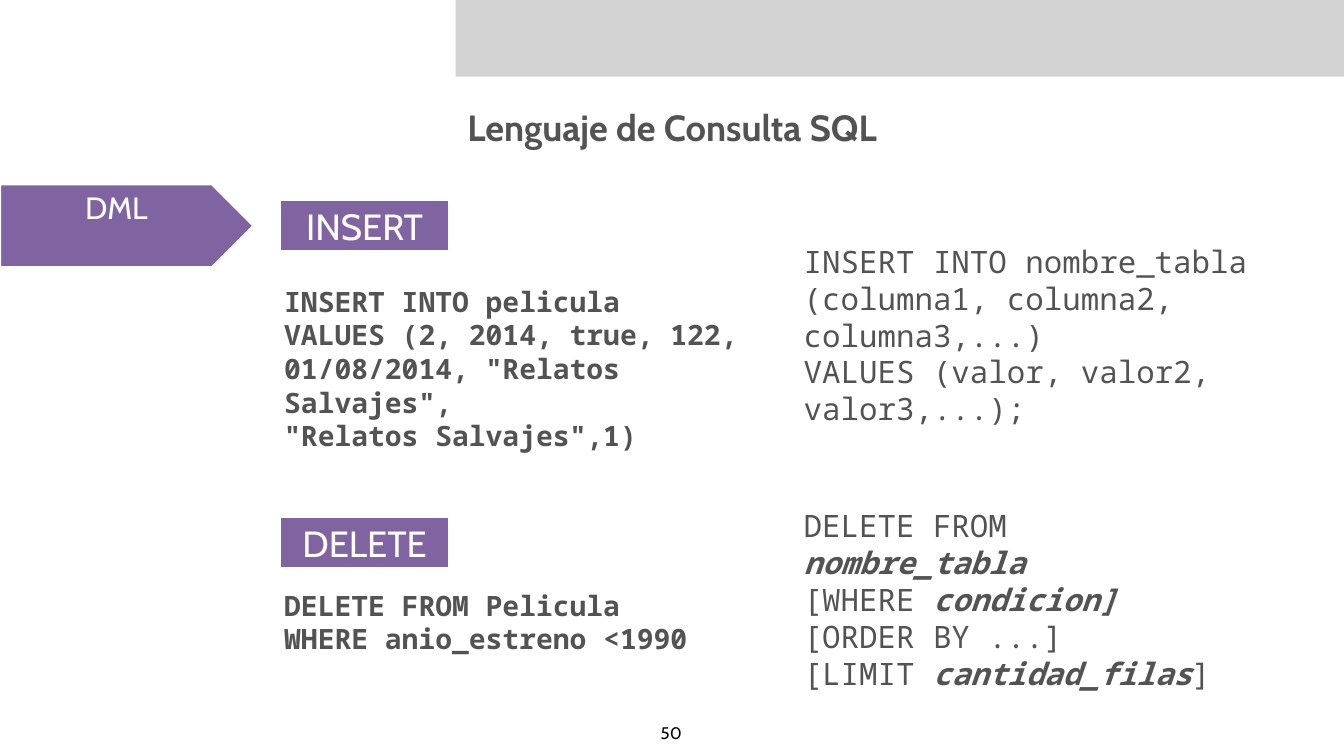
from pptx import Presentation
from pptx.dml.color import RGBColor
from pptx.enum.shapes import MSO_SHAPE as Shape
from pptx.enum.text import MSO_ANCHOR as Anchor, MSO_AUTO_SIZE as Fit, PP_ALIGN as Align
from pptx.oxml import parse_xml
from pptx.oxml.ns import nsdecls
from pptx.util import Inches, Pt

WHITE = RGBColor(0xFF, 0xFF, 0xFF)
BLACK = RGBColor(0, 0, 0)
GREY = RGBColor(0xD3, 0xD3, 0xD3)
INK = RGBColor(0x53, 0x53, 0x53)
PURPLE = RGBColor(0x80, 0x64, 0xA2)
SANS, MONO = "Cabin", "Noto Sans Mono"

WIDE, HIGH = 26.67, 15
LEFT, RIGHT = 5.56, 15.85  # the two code columns
PAD = 0.08


def box(left, top, width, height):
    return [Inches(n) for n in (left, top, width, height)]


def place(item, area):
    item.left, item.top, item.width, item.height = box(*area)


def frame(item, anchor=Anchor.TOP, side=PAD, top=PAD, bottom=PAD, wrap=True):
    tf = item.text_frame
    tf.auto_size = Fit.NONE
    tf.word_wrap = wrap
    tf.vertical_anchor = anchor
    tf.margin_left = tf.margin_right = Inches(side)
    tf.margin_top, tf.margin_bottom = Inches(top), Inches(bottom)
    return tf


def style(run, size, font, color, bold=False, italic=False):
    run.font.size, run.font.name = Pt(size), font
    run.font.color.rgb = color
    run.font.bold, run.font.italic = bold, italic


def label(tf, text, size, color, bold=False):
    """Write one centred line."""
    tf.text = text
    para = tf.paragraphs[0]
    para.alignment = Align.CENTER
    style(para.runs[0], size, SANS, color, bold)


def code(tf, lines, size, bold=False):
    """Write code lines; every second part of a line is bold italic."""
    for row, parts in enumerate(lines):
        para = tf.paragraphs[0] if row == 0 else tf.add_paragraph()
        props = para._p.get_or_add_pPr()
        props.set("marL", "0")
        props.set("indent", "0")
        props.append(parse_xml(f"<a:buNone {nsdecls('a')}/>"))
        para.alignment = Align.LEFT
        para.space_before = Pt(0)
        for col, part in enumerate(parts):
            run = para.add_run()
            run.text = part
            var = col % 2 == 1
            style(run, size, MONO, INK, bold or var, var)


def tag(slide, kind, area, text, size, bottom=PAD):
    item = slide.shapes.add_shape(kind, *box(*area))
    item.shadow.inherit = False
    item.fill.solid()
    item.fill.fore_color.rgb = PURPLE
    item.line.color.rgb = WHITE
    item.line.width = Pt(3)
    label(frame(item, Anchor.MIDDLE, bottom=bottom), text, size, WHITE)


def main():
    prs = Presentation()
    prs.slide_width, prs.slide_height = Inches(WIDE), Inches(HIGH)
    slide = prs.slides.add_slide(prs.slide_layouts[1])
    title, body = slide.placeholders
    shapes = slide.shapes

    # Header band and title
    band = shapes.add_shape(Shape.RECTANGLE, *box(9.04, -0.04, 17.68, 1.56))
    band.shadow.inherit = False
    band.fill.solid()
    band.fill.fore_color.rgb = GREY
    band.line.fill.background()
    place(title, (5.29, 2.01, 16.09, 1.03))
    label(frame(title, Anchor.MIDDLE), "Lenguaje de Consulta SQL", 52, INK, True)

    # Section arrow and statement tags
    tag(slide, Shape.PENTAGON, (0, 3.66, 5.03, 1.64), "DML", 44, bottom=0.8)
    for name, top in (("INSERT", 3.96), ("DELETE", 10.25)):
        tag(slide, Shape.RECTANGLE, (LEFT, top, 3.35, 1.03), name, 52)

    # Examples on the left
    place(body, (LEFT, 5.56, 10.29, 2.85))
    code(frame(body), [
        ["INSERT INTO pelicula"],
        ["VALUES (2, 2014, true, 122,"],
        ['01/08/2014, "Relatos Salvajes",'],
        ['"Relatos Salvajes",1)'],
    ], 40, True)
    sample = shapes.add_textbox(*box(LEFT, 11.59, 8.9, 1.5))
    code(frame(sample, Anchor.MIDDLE), [
        ["DELETE FROM Pelicula"],
        ["WHERE anio_estreno <1990"],
    ], 40, True)

    # Syntax on the right
    syntax = (
        ((RIGHT, 4.76, 10.18, 3.86), [
            ["INSERT INTO nombre_tabla (columna1, columna2, columna3,...)"],
            ["VALUES (valor, valor2, valor3,...);"],
        ]),
        ((RIGHT, 10.01, 8.67, 3.06), [
            ["DELETE FROM ", "nombre_tabla"],
            ["[WHERE ", "condicion]"],
            ["[ORDER BY ...]"],
            ["[LIMIT ", "cantidad_filas", "]"],
        ]),
    )
    for area, lines in syntax:
        item = shapes.add_textbox(*box(*area))
        code(frame(item, side=0.1, top=0.05, bottom=0.05), lines, 44)

    # Page number
    page = shapes.add_textbox(*box(13.07, 14.26, 0.5, 0.55))
    label(frame(page, wrap=False), "50", 24, BLACK)

    prs.save("out.pptx")


if __name__ == "__main__":
    main()
